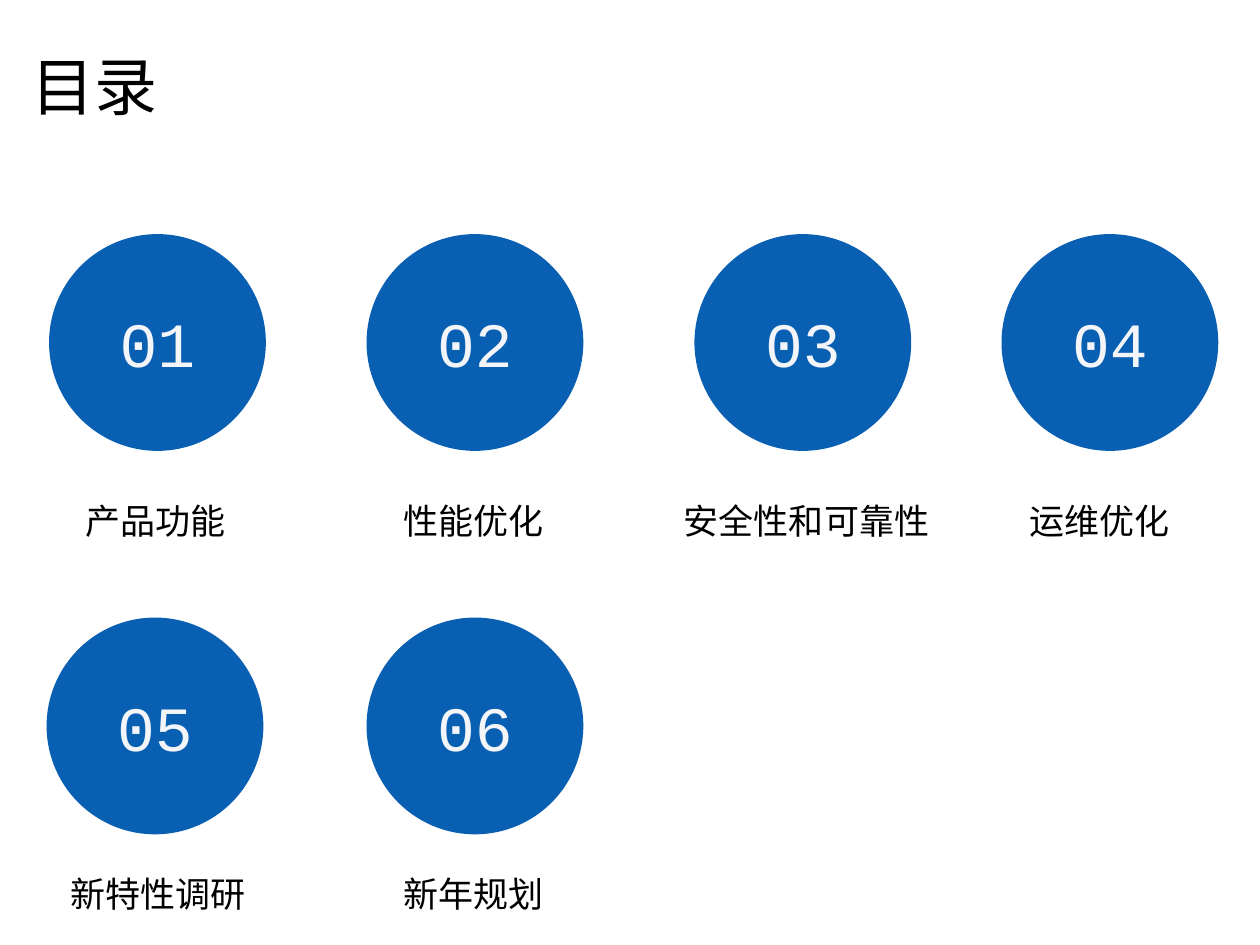
import pptx
import pptx.dml.color
import pptx.enum.shapes
import pptx.enum.text
import pptx.oxml
import pptx.oxml.ns
from pptx.util import Cm

# Content: topic, circle left, label centre, label width (cm)
TITLE = "目录"
ROWS = [
    {"circle_top": 4.72, "label_top": 9.93, "topics": [
        ("产品功能", 0.99, 3.14, 4.39),
        ("性能优化", 7.39, 9.55, 6.81),
        ("安全性和可靠性", 14.0, 16.26, 7.01),
        ("运维优化", 20.19, 22.17, 6.81),
    ]},
    {"circle_top": 12.45, "label_top": 17.45, "topics": [
        ("新特性调研", 0.94, 3.19, 4.39),
        ("新年规划", 7.39, 9.54, 4.39),
    ]},
]
DIAMETER = 4.37
NUMBER_WIDTH, NUMBER_HEIGHT = 3.1, 1.88
LABEL_HEIGHT = 1.17
INSET = 0.13
BLUE, WHITE, BLACK = "095FB2", "F3F5F9", "000000"
TEXT_FONT, NUMBER_FONT = "Noto Sans CJK SC", "Courier New"
ALIGN = pptx.enum.text.PP_ALIGN
ANCHOR = pptx.enum.text.MSO_ANCHOR


def color(hex_value):
    return pptx.dml.color.RGBColor.from_string(hex_value)


def write(shape, text, font_name, size, hex_value, align, anchor):
    frame = shape.text_frame
    frame.text = text
    frame.word_wrap = True
    frame.vertical_anchor = anchor
    frame.margin_left = frame.margin_right = Cm(INSET)
    frame.margin_top = frame.margin_bottom = Cm(INSET)
    paragraph = frame.paragraphs[0]
    paragraph.alignment = align
    font = paragraph.runs[0].font
    font.name = font_name
    font.size = pptx.util.Pt(size)
    font.color.rgb = color(hex_value)
    # East Asian characters take their own typeface element
    east_asian = pptx.oxml.parse_xml(
        f'<a:ea {pptx.oxml.ns.nsdecls("a")} typeface="{font_name}"/>')
    paragraph.runs[0]._r.rPr.find(pptx.oxml.ns.qn("a:latin")).addnext(east_asian)
    return paragraph


def add_number(slide, number, left, top):
    group = slide.shapes.add_group_shape()
    circle = group.shapes.add_shape(
        pptx.enum.shapes.MSO_SHAPE.OVAL,
        Cm(left), Cm(top), Cm(DIAMETER), Cm(DIAMETER))
    circle.shadow.inherit = False
    circle.fill.solid()
    circle.fill.fore_color.rgb = color(BLUE)
    circle.line.fill.background()
    box = group.shapes.add_textbox(
        Cm(left + (DIAMETER - NUMBER_WIDTH) / 2),
        Cm(top + (DIAMETER - NUMBER_HEIGHT) / 2),
        Cm(NUMBER_WIDTH), Cm(NUMBER_HEIGHT))
    write(box, f"{number:02d}", NUMBER_FONT, 36, WHITE, ALIGN.CENTER, ANCHOR.MIDDLE)


def add_label(slide, text, center, top, width):
    box = slide.shapes.add_textbox(
        Cm(center - width / 2), Cm(top), Cm(width), Cm(LABEL_HEIGHT))
    paragraph = write(box, text, TEXT_FONT, 20, BLACK, ALIGN.CENTER, ANCHOR.TOP)
    paragraph.space_before = pptx.util.Pt(4)


def main():
    presentation = pptx.Presentation()
    presentation.slide_width, presentation.slide_height = Cm(25.4), Cm(19.05)
    slide = presentation.slides.add_slide(presentation.slide_layouts[5])

    # Title
    title = slide.shapes.title
    title.left, title.top = Cm(0.51), Cm(0.13)
    title.width, title.height = Cm(22.86), Cm(3.18)
    write(title, TITLE, TEXT_FONT, 36, BLACK, ALIGN.LEFT, ANCHOR.MIDDLE)

    # Numbered topics
    number = 0
    for row in ROWS:
        for topic, left, label_center, label_width in row["topics"]:
            number += 1
            add_number(slide, number, left, row["circle_top"])
            add_label(slide, topic, label_center, row["label_top"], label_width)

    presentation.save("out.pptx")


if __name__ == "__main__":
    main()
